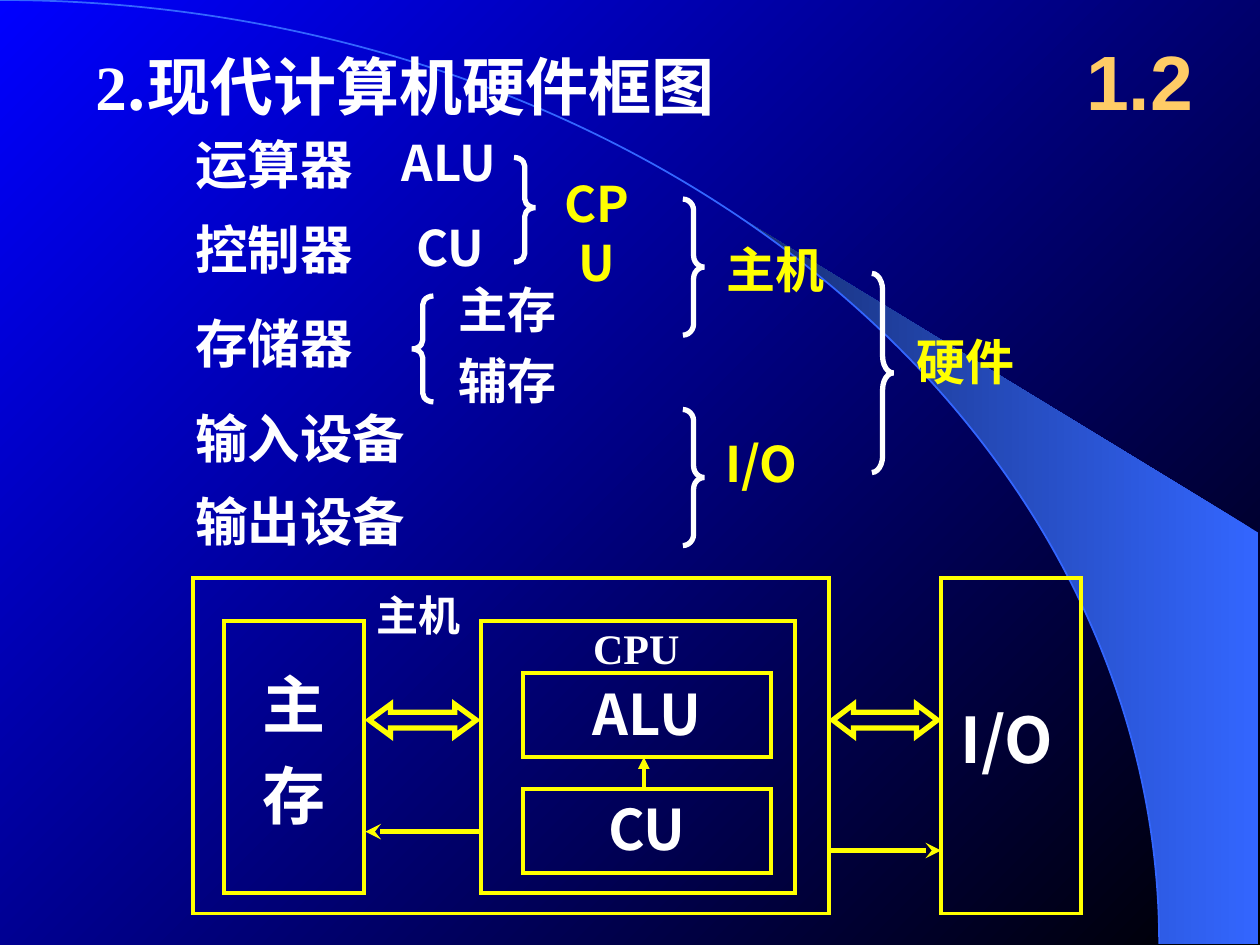
import math
from typing import NamedTuple

import pptx
import pptx.dml.color
import pptx.enum.dml
import pptx.enum.shapes
import pptx.enum.text
import pptx.oxml
import pptx.oxml.ns
import pptx.util

RGBColor = pptx.dml.color.RGBColor
Shape = pptx.enum.shapes.MSO_SHAPE
Align = pptx.enum.text.PP_ALIGN
Anchor = pptx.enum.text.MSO_ANCHOR

WHITE = RGBColor(0xFF, 0xFF, 0xFF)
YELLOW = RGBColor(0xFF, 0xFF, 0x00)
ORANGE = RGBColor(0xFF, 0xCC, 0x66)
BLACK = RGBColor(0x00, 0x00, 0x00)
BLUE = RGBColor(0x00, 0x00, 0xFF)
SKY = RGBColor(0x33, 0x66, 0xFF)
NAVY = RGBColor(0x17, 0x2F, 0x75)

SANS = "Noto Sans CJK SC"
SERIF = "Times New Roman"

SLIDE_WIDTH = pptx.util.Inches(10)
SLIDE_HEIGHT = pptx.util.Inches(7.5)
COLUMN = SLIDE_WIDTH / 10
ROW = SLIDE_HEIGHT / 7.5
ARC_COLUMNS, ARC_ROWS = 9.2, 7.49
NAMESPACE = pptx.oxml.ns.nsdecls("a")


class Area(NamedTuple):
    column: float
    row: float
    columns: float
    rows: float


class Label(NamedTuple):
    text: str
    area: Area
    size: float = 28
    color: RGBColor = WHITE
    font: str = SANS
    align: Align = Align.CENTER
    inset: float = 0.1
    before: float = 0
    anchor: Anchor = Anchor.TOP
    number: str = ""


class Brace(NamedTuple):
    area: Area
    kind: Shape = Shape.RIGHT_BRACE
    middle: float = 0.5


class Signal(NamedTuple):
    start: tuple[float, float]
    end: tuple[float, float]
    head: str = "stealth"
    weight: float = 3


LEFT = Align.LEFT
COMPONENTS = [("运算器", 1), ("控制器", 1.67), ("存储器", 2.42),
              ("输入设备", 3.17), ("输出设备", 3.83)]

LABELS = [
    Label(".现代计算机硬件框图", Area(0.66, 0.33, 6.34, 0.7), 36, align=LEFT, number="2"),
    Label("1.2", Area(8.42, 0.17, 1.25, 0.92), 44, ORANGE, "Arial", anchor=Anchor.MIDDLE),
    *[Label(name, Area(1.45, row, 3, 0.6), 30, align=LEFT) for name, row in COMPONENTS],
    Label("ALU", Area(3.09, 1, 1.1, 0.57), align=LEFT),
    Label("CU", Area(3.21, 1.68, 0.9, 0.57), align=LEFT),
    Label("主存\n辅存", Area(3.43, 2.17, 1.2, 1.13), before=7),
    Label("CPU", Area(4.29, 1.33, 0.9, 1.04), color=YELLOW),
    Label("主机", Area(5.67, 1.85, 1.2, 0.57), color=YELLOW, align=LEFT),
    Label("I/O", Area(5.66, 3.39, 1, 0.57), color=YELLOW, align=LEFT),
    Label("硬件", Area(7.06, 2.58, 1.2, 0.57), color=YELLOW),
    Label("主机", Area(2.92, 4.68, 0.8, 0.4), 24, inset=0),
    Label("CPU", Area(4.65, 4.94, 0.8, 0.4), 24, font=SERIF, inset=0),
    Label("I/O", Area(7.45, 5.51, 1.08, 0.7), 36),
    Label("主\n存", Area(1.93, 5.23, 0.8, 1.43), 36, before=9),
]

BRACES = [
    Brace(Area(3.27, 2.35, 0.17, 0.84), Shape.LEFT_BRACE),
    Brace(Area(4.08, 1.25, 0.17, 0.83), middle=0.48),
    Brace(Area(5.42, 1.58, 0.17, 1.08)),
    Brace(Area(5.42, 3.25, 0.17, 1.08)),
    Brace(Area(6.92, 2.17, 0.17, 1.58)),
]

HOST = Area(1.53, 4.59, 5.05, 2.66)
PERIPHERALS = Area(7.47, 4.59, 1.11, 2.66)
MEMORY = Area(1.78, 4.93, 1.11, 2.16)
PROCESSOR = Area(3.82, 4.93, 2.49, 2.16)
UNITS = [("ALU", Area(4.15, 5.34, 1.97, 0.67)), ("CU", Area(4.15, 6.26, 1.97, 0.67))]
BUSES = [(Area(2.93, 5.59, 0.85, 0.25), 0.68), (Area(6.61, 5.59, 0.83, 0.25), 0.66)]
SIGNALS = [
    Signal((5.11, 6.26), (5.11, 6.01), "triangle", 2.25),
    Signal((6.58, 6.75), (7.47, 6.75)),
    Signal((3.81, 6.6), (2.9, 6.6)),
]


def place(lengths: tuple[float, ...]) -> list[int]:
    return [round(length * (ROW if index % 2 else COLUMN)) for index, length in enumerate(lengths)]


def write_text(shape, text: str, *, size: float, color=WHITE, font=SANS, align=Align.CENTER,
               inset=0.1, before=0, anchor=Anchor.TOP, number="") -> None:
    frame = shape.text_frame
    frame.word_wrap = True
    frame.vertical_anchor = anchor
    frame.margin_left = frame.margin_right = pptx.util.Inches(inset)
    frame.margin_top = frame.margin_bottom = pptx.util.Inches(inset / 2)
    for index, line in enumerate(text.split("\n")):
        paragraph = frame.add_paragraph() if index else frame.paragraphs[0]
        paragraph.alignment = align
        if index:
            paragraph.space_before = pptx.util.Pt(before)
        pieces = [(number, SERIF)] if number and not index else []
        for piece, typeface in pieces + [(line, font)]:
            run = paragraph.add_run()
            run.text = piece
            run.font.size = pptx.util.Pt(size)
            run.font.bold = True
            run.font.color.rgb = color
            run.font.name = typeface
            run.font._element.append(pptx.oxml.parse_xml(f'<a:ea {NAMESPACE} typeface="{SANS}"/>'))


def add_label(slide, label: Label) -> None:
    box = slide.shapes.add_textbox(*place(label.area))
    write_text(box, label.text, size=label.size, color=label.color, font=label.font,
               align=label.align, inset=label.inset, before=label.before,
               anchor=label.anchor, number=label.number)


def add_outline(slide, kind: Shape, area: Area, color: RGBColor, weight: float, adjustments=()):
    outline = slide.shapes.add_shape(kind, *place(area))
    outline.shadow.inherit = False
    outline.fill.background()
    outline.line.color.rgb = color
    outline.line.width = pptx.util.Pt(weight)
    outline.line._get_or_add_ln().append(
        pptx.oxml.parse_xml(f'<a:miter {NAMESPACE} lim="800000"/>'))
    for index, value in enumerate(adjustments):
        outline.adjustments[index] = value
    return outline


def add_signal(slide, signal: Signal) -> None:
    ends = place(signal.start + signal.end)
    arrow = slide.shapes.add_connector(pptx.enum.shapes.MSO_CONNECTOR.STRAIGHT, *ends)
    arrow.line.color.rgb = YELLOW
    arrow.line.width = pptx.util.Pt(signal.weight)
    arrow.line._get_or_add_ln().append(
        pptx.oxml.parse_xml(f'<a:tailEnd {NAMESPACE} type="{signal.head}"/>'))
    arrow._element.spPr.append(pptx.oxml.parse_xml(f"<a:effectLst {NAMESPACE}/>"))


def set_gradient(fill, colors: tuple[RGBColor, RGBColor], angle: float) -> None:
    fill.gradient()
    fill.gradient_angle = angle
    for stop, position, color in zip(fill.gradient_stops, (0, 1), colors):
        stop.position = position
        stop.color.rgb = color


def add_backdrop(slide) -> None:
    set_gradient(slide.background.fill, (BLACK, BLUE), 135)
    steps = 40
    widest = math.acos(5.89 / ARC_COLUMNS)
    angles = [widest * (1 - step / steps) for step in range(steps + 1)]
    curve = [(ARC_COLUMNS * math.cos(angle), ARC_ROWS * (1 - math.sin(angle))) for angle in angles]
    start, *rest = [place(point) for point in curve + [(9.99, 7.49), (9.99, 4.23)]]
    builder = slide.shapes.build_freeform(*start)
    builder.add_line_segments(rest, close=True)
    beam = builder.convert_to_shape()
    beam.shadow.inherit = False
    beam.line.fill.background()
    set_gradient(beam.fill, (SKY, NAVY), 180)
    horizon = Area(-ARC_COLUMNS, 0, 2 * ARC_COLUMNS, 2 * ARC_ROWS)
    add_outline(slide, Shape.ARC, horizon, SKY, 1)


def main() -> None:
    deck = pptx.Presentation()
    deck.slide_width, deck.slide_height = SLIDE_WIDTH, SLIDE_HEIGHT
    slide = deck.slides.add_slide(deck.slide_layouts[6])
    add_backdrop(slide)
    for brace in BRACES:
        curl = brace.area.rows / brace.area.columns / 12
        add_outline(slide, brace.kind, brace.area, WHITE, 3, (curl, brace.middle))
    for block in (HOST, PERIPHERALS, MEMORY, PROCESSOR):
        add_outline(slide, Shape.RECTANGLE, block, YELLOW, 2.13)
    for name, area in UNITS:
        unit = add_outline(slide, Shape.RECTANGLE, area, YELLOW, 2.13)
        write_text(unit, name, size=32)
    for area, head in BUSES:
        add_outline(slide, Shape.LEFT_RIGHT_ARROW, area, YELLOW, 3, (0.5, head))
    for signal in SIGNALS:
        add_signal(slide, signal)
    for label in LABELS:
        add_label(slide, label)
    deck.save("out.pptx")


if __name__ == "__main__":
    main()
